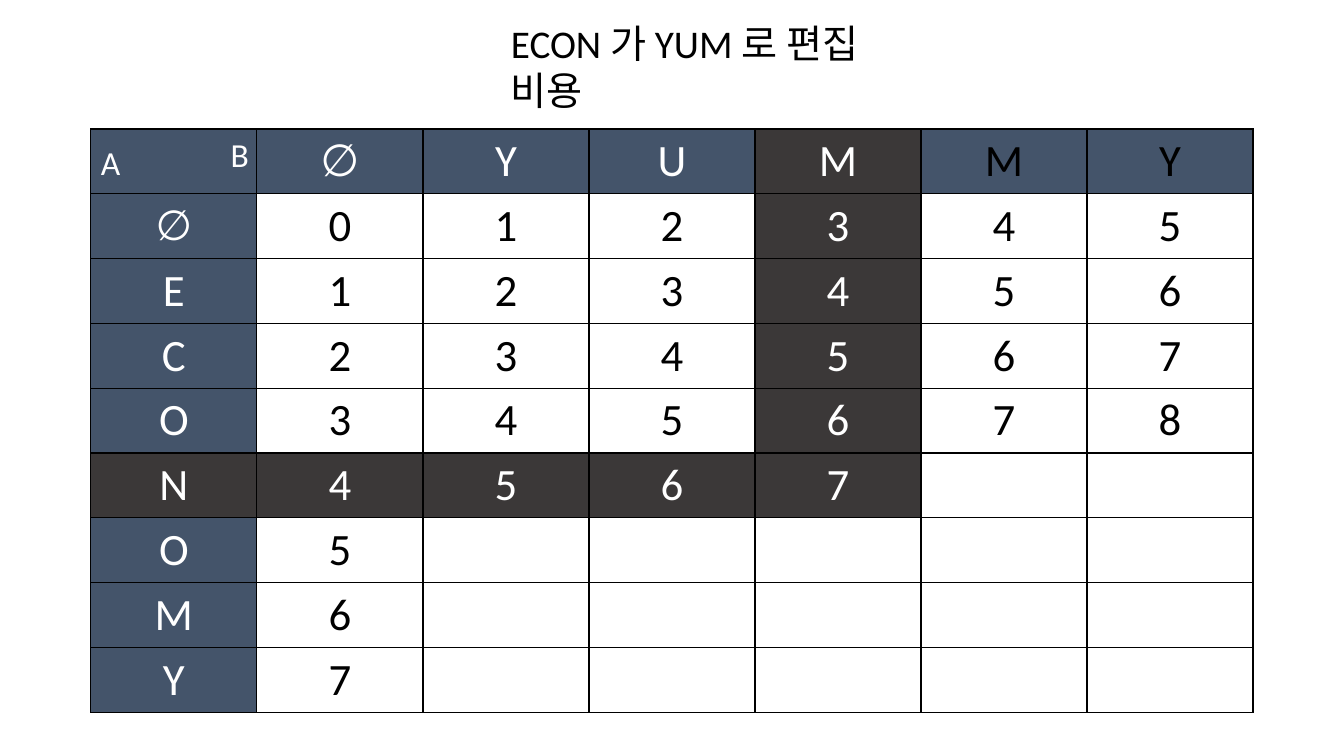
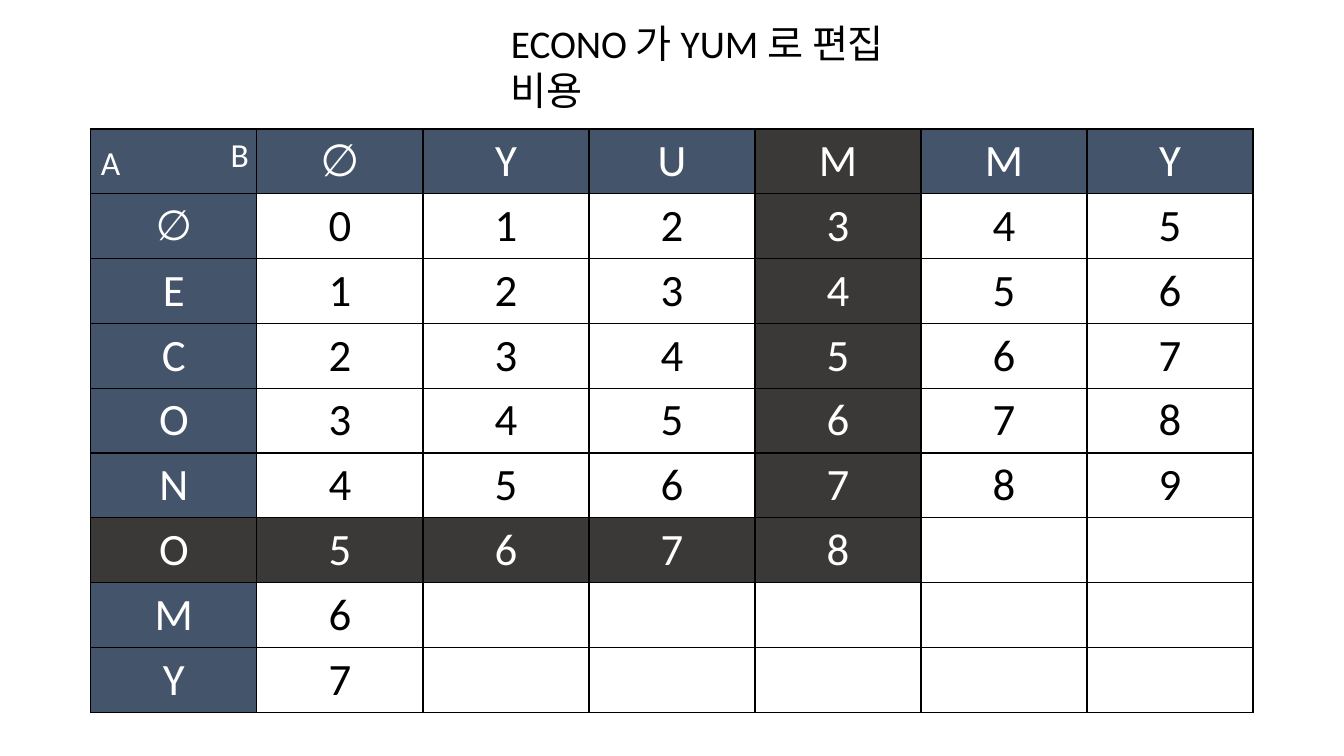
from dataclasses import dataclass

from lxml.etree import SubElement
from pptx import Presentation
from pptx.dml.color import RGBColor
from pptx.enum.text import MSO_ANCHOR, MSO_AUTO_SIZE, PP_ALIGN
from pptx.oxml.ns import qn
from pptx.presentation import Presentation as Deck
from pptx.slide import Slide
from pptx.table import _Cell as Cell
from pptx.text.text import TextFrame
from pptx.util import Cm, Pt

FONT = "Calibri"
BLUE, DARK, WHITE, BLACK = "44546A", "3B3838", "FFFFFF", "000000"
SOURCE, TARGET = "∅ECONOMY", "∅YUMMY"
LEFT, TOP, WIDTH, HEIGHT = 2.29, 3.25, 29.29, 14.7


@dataclass(frozen=True)
class Step:
    title: str
    row: int
    col: int
    rest: str


@dataclass(frozen=True)
class Label:
    text: str
    left: float
    top: float
    width: float


STEPS = (
    Step("ECON 가 YUM 로 편집 비용", 4, 3, BLACK),
    Step("ECONO 가 YUM 로 편집 비용", 5, 3, WHITE),
)
LABELS = (Label("A", LEFT, 3.45, 1.02), Label("B", 5.56, TOP, 0.97))


def paint(code: str) -> RGBColor:
    return RGBColor.from_string(code)


def write(frame: TextFrame, text: str, size: float, color: str,
          align: PP_ALIGN = PP_ALIGN.LEFT) -> None:
    line = frame.paragraphs[0]
    line.alignment = align
    run = line.add_run()
    run.text = text
    run.font.name = FONT
    run.font.size = Pt(size)
    run.font.color.rgb = paint(color)


def edge(cell: Cell) -> None:
    props = cell._tc.get_or_add_tcPr()
    for side in ("a:lnL", "a:lnR", "a:lnT", "a:lnB"):
        line = SubElement(props, qn(side), w=str(Pt(1)))
        fill = SubElement(line, qn("a:solidFill"))
        SubElement(fill, qn("a:srgbClr"), val=BLACK)


def style(cell: Cell, text: str, size: float, fill: str, color: str) -> None:
    edge(cell)
    cell.fill.solid()
    cell.fill.fore_color.rgb = paint(fill)
    cell.vertical_anchor = MSO_ANCHOR.MIDDLE
    cell.margin_top = cell.margin_bottom = 0
    if text:
        write(cell.text_frame, text, size, color, PP_ALIGN.CENTER)


def cost(step: Step, row: int, col: int) -> str:
    done = row < step.row or col == 0 or (row == step.row and col <= step.col)
    return str(row + col) if done else ""


def draw_grid(slide: Slide, step: Step) -> None:
    rows, cols = len(SOURCE) + 1, len(TARGET) + 1
    grid = slide.shapes.add_table(
        rows, cols, Cm(LEFT), Cm(TOP), Cm(WIDTH), Cm(HEIGHT)).table
    grid.first_row = grid.horz_banding = False
    for band in grid.columns:
        band.width = Cm(WIDTH / cols)
    for band in grid.rows:
        band.height = Cm(HEIGHT / rows)
    for row in range(-1, len(SOURCE)):
        for col in range(-1, len(TARGET)):
            head = row < 0 or col < 0
            dark = ((col == step.col and row <= step.row)
                    or (row == step.row and col <= step.col))
            if row < 0:
                text = TARGET[col] if col >= 0 else ""
            else:
                text = SOURCE[row] if col < 0 else cost(step, row, col)
            fill = DARK if dark else BLUE if head else WHITE
            color = WHITE if head or dark else BLACK
            if row < 0 and col > step.col:
                color = step.rest
            size = 30 if (row, col) == (0, -1) else 32
            style(grid.cell(row + 1, col + 1), text, size, fill, color)


def draw_label(slide: Slide, label: Label) -> None:
    box = slide.shapes.add_textbox(
        Cm(label.left), Cm(label.top), Cm(label.width), Cm(1.27))
    box.text_frame.word_wrap = False
    write(box.text_frame, label.text, 24, WHITE)


def draw_title(slide: Slide, text: str) -> None:
    title = slide.shapes.title
    title.left, title.top = Cm(12.62), Cm(0.36)
    title.width, title.height = Cm(11.18), Cm(2.7)
    frame = title.text_frame
    frame.auto_size = MSO_AUTO_SIZE.NONE
    frame.word_wrap = True
    frame.vertical_anchor = MSO_ANCHOR.TOP
    write(frame, text, 28, BLACK)


def add_step(deck: Deck, step: Step) -> None:
    slide = deck.slides.add_slide(deck.slide_layouts[5])
    draw_grid(slide, step)
    for label in LABELS:
        draw_label(slide, label)
    draw_title(slide, step.title)


def main() -> None:
    deck = Presentation()
    deck.slide_width, deck.slide_height = Cm(33.87), Cm(19.05)
    for step in STEPS:
        add_step(deck, step)
    deck.save("out.pptx")


if __name__ == "__main__":
    main()
